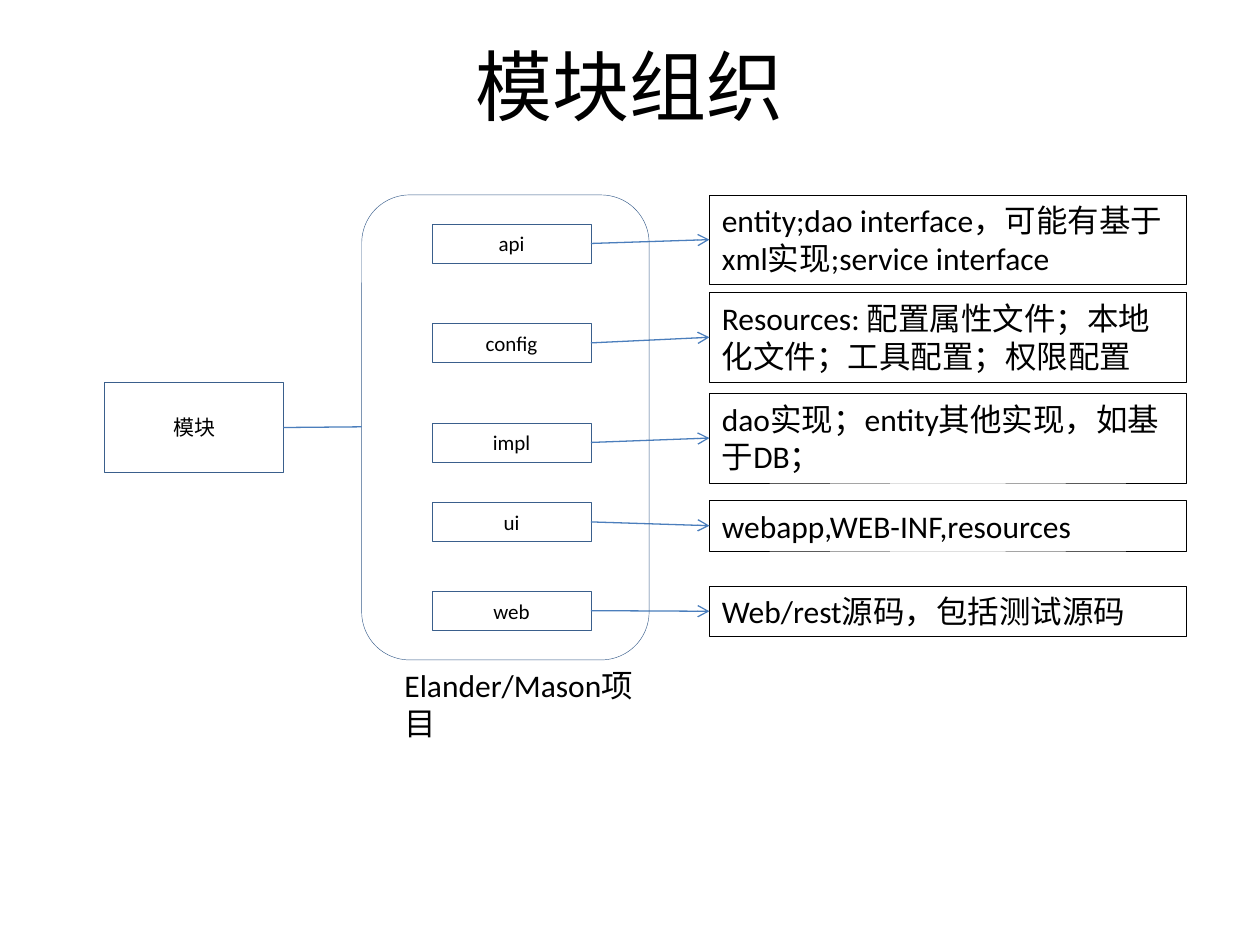
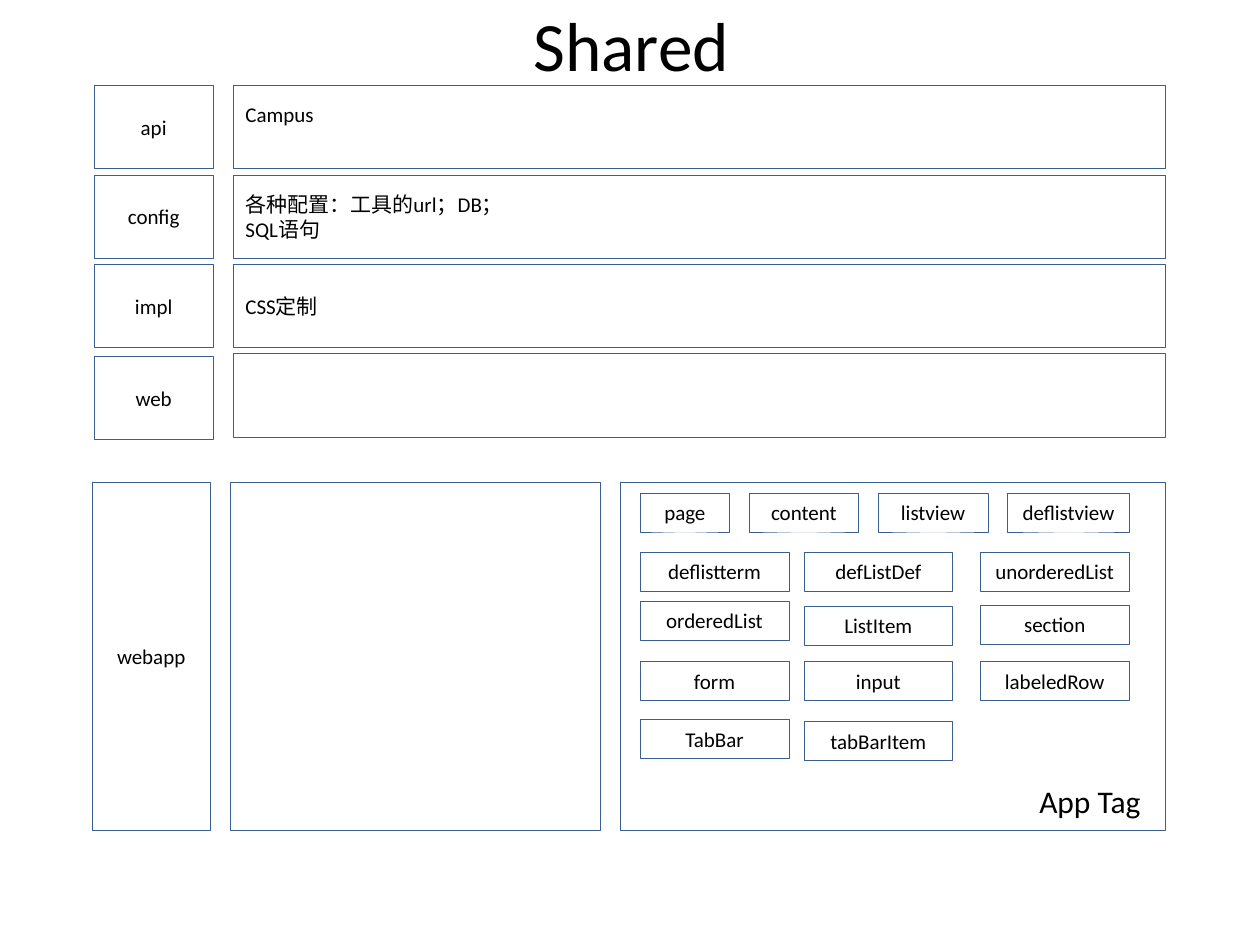
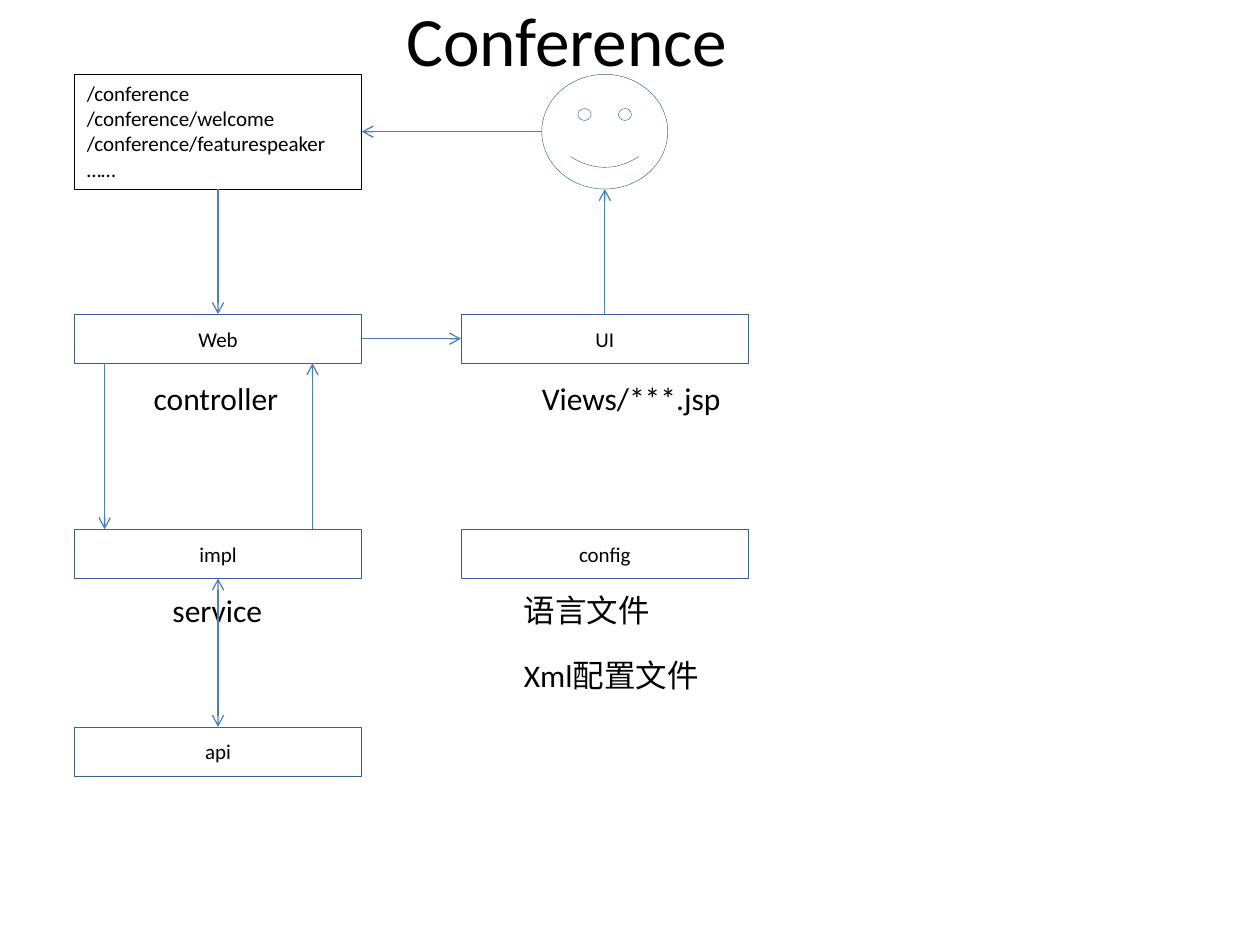
from lxml.etree import SubElement
from pptx import Presentation
from pptx.dml.color import RGBColor
from pptx.enum.shapes import MSO_CONNECTOR, MSO_SHAPE
from pptx.enum.text import MSO_ANCHOR, MSO_AUTO_SIZE, PP_ALIGN
from pptx.oxml.ns import qn
from pptx.util import Pt

FONT = "Calibri"
INK = "000000"
BORDER = "3A5F8C"
ARROW = "4B7EBC"
BODY, LARGE = 12, 18


def color(value):
    return RGBColor.from_string(value)


def write(frame, text, size, align=PP_ALIGN.LEFT, anchor=MSO_ANCHOR.TOP, **extra):
    settings = dict(word_wrap=True, auto_size=MSO_AUTO_SIZE.NONE, vertical_anchor=anchor, **extra)
    for key, value in settings.items():
        setattr(frame, key, value)
    frame.text = text
    for paragraph in frame.paragraphs:
        paragraph.alignment = align
        for run in paragraph.runs:
            for key, value in dict(name=FONT, size=Pt(size)).items():
                setattr(run.font, key, value)
            run.font.color.rgb = color(INK)


def outline(shape, line):
    shape.fill.background()
    shape.line.color.rgb = color(line)
    shape.line.width = Pt(0.25)


def frame_box(slide, box, text="", align=PP_ALIGN.CENTER, kind=MSO_SHAPE.RECTANGLE, **extra):
    shape = slide.shapes.add_shape(kind, *map(Pt, box))
    shape.shadow.inherit = False
    outline(shape, BORDER)
    if text:
        write(shape.text_frame, text, BODY, align, MSO_ANCHOR.MIDDLE, **extra)


def caption(slide, box, text, size=LARGE, line=None):
    label = slide.shapes.add_textbox(*map(Pt, box))
    if line:
        outline(label, line)
    write(label.text_frame, text, size)


def link(slide, start, end, heads=("tailEnd",)):
    connector = slide.shapes.add_connector(MSO_CONNECTOR.STRAIGHT, *map(Pt, start + end))
    connector.line.color.rgb = color(ARROW)
    connector.line.width = Pt(0.75)
    properties = connector.element.spPr
    for head in heads:
        SubElement(properties.find(qn("a:ln")), qn("a:" + head), type="arrow")
    SubElement(properties, qn("a:effectLst"))


def titled_slide(deck, title, box, size):
    slide = deck.slides.add_slide(deck.slide_layouts[5])
    heading = slide.shapes.title
    for key, value in zip(("left", "top", "width", "height"), box):
        setattr(heading, key, Pt(value))
    write(heading.text_frame, title, size, PP_ALIGN.CENTER, MSO_ANCHOR.MIDDLE)
    return slide


def module_tree(slide, box):
    left, top, width, height = box
    project_left, project_width = left + 146.9, 164.2
    part_left, part_width, part_height = left + 187.2, 90.7, 22.3
    note_left = left + 345.6
    note_width = left + width - note_left
    parts = [
        ("api", 16.6, "entity;dao interface，可能有基于xml实现;service interface", 0, 51.1),
        ("config", 73.4, "Resources: 配置属性文件；本地化文件；工具配置；权限配置", 55.8, 51.1),
        ("impl", 130.3, "dao实现；entity其他实现，如基于DB；", 113.4, 51.1),
        ("ui", 175.7, "webapp,WEB-INF,resources", 174.6, 28.8),
        ("web", 226.4, "Web/rest源码，包括测试源码", 223.5, 28.8),
    ]
    frame_box(slide, (left, top + 107.3, 102.2, 51.1), "模块")
    for name, part_top, note, note_top, note_height in parts:
        frame_box(slide, (part_left, top + part_top, part_width, part_height), name)
        caption(slide, (note_left, top + note_top, note_width, note_height), note, line=INK)
        link(slide, (part_left + part_width, top + part_top + part_height / 2),
             (note_left, top + note_top + note_height / 2))
    frame_box(slide, (project_left, top, project_width, height), kind=MSO_SHAPE.ROUNDED_RECTANGLE)
    link(slide, (left + 102.2, top + 132.9), (project_left, top + 132.5), ())
    caption(slide, (left + 164.2, top + height, 159.1, 28.8), "Elander/Mason项目")


def layer_rows(slide, box):
    left, top, width, row_height = box
    detail_left = left + 79.2
    rows = [
        ("api", "Campus", 0, 18.2),
        ("config", "各种配置：工具的url；DB；\nSQL语句", 0, 3.6),
        ("impl", "CSS定制", 0, 3.6),
        ("web", "", 1.5, 3.6),
    ]
    for index, (name, detail, drop, bottom) in enumerate(rows):
        row_top = top + index * 51.1
        frame_box(slide, (left, row_top + drop, 67.7, row_height), name)
        frame_box(slide, (detail_left, row_top, left + width - detail_left, row_height),
                  detail, PP_ALIGN.LEFT, margin_bottom=Pt(bottom))


def tag_panel(slide, box):
    left, top, width, height = box
    frame_box(slide, box)
    tag_left = left + 11.6
    for name, tag_width in [("page", 51.1), ("content", 62.6), ("listview", 62.6), ("deflistview", 69.8)]:
        frame_box(slide, (tag_left, top + 5.8, tag_width, 22.3), name)
        tag_left += tag_width + 11.2
    columns = [
        (11.6, [("deflistterm", 39.6), ("orderedList", 67.6), ("form", 102.2), ("TabBar", 135.3)]),
        (105.2, [("defListDef", 39.6), ("ListItem", 70.5), ("input", 102.2), ("tabBarItem", 136.4)]),
        (206, [("unorderedList", 39.6), ("section", 69.8), ("labeledRow", 102.2)]),
    ]
    for column_left, tags in columns:
        for name, tag_top in tags:
            frame_box(slide, (left + column_left, top + tag_top, 85, 22.3), name)
    caption(slide, (left + width - 79.2, top + height - 31, 77, 28.8), "App Tag")


def webapp_row(slide, box):
    left, top, width, height = box
    tags_left = left + 301.6
    frame_box(slide, (left, top, 67.7, height), "webapp")
    frame_box(slide, (left + 79.2, top, 211, height))
    tag_panel(slide, (tags_left, top, left + width - tags_left, height))


def request_flow(slide, box):
    left, top, width, height = box
    node_width, node_height = 164.2, 28.1
    right = left + width - node_width
    web, impl, api = top + 137, top + 260, top + height - node_height
    first_height = 65.5
    middle, user = left + node_width / 2, right + node_width / 2
    user_left = user - 36
    addresses = "/conference\n/conference/welcome\n/conference/featurespeaker\n……"
    caption(slide, (left, top, node_width, first_height), addresses, BODY, INK)
    frame_box(slide, (user_left, top, 72, first_height), kind=MSO_SHAPE.SMILEY_FACE)
    for name, node_left, node_top in [("Web", left, web), ("UI", right, web), ("impl", left, impl),
                                      ("config", right, impl), ("api", left, api)]:
        frame_box(slide, (node_left, node_top, node_width, node_height), name)
    for text, text_left, text_top, text_width in [
        ("controller", 38.2, 170.7, 87),
        ("service", 49, 291.6, 67),
        ("Views/***.jsp", 260, 170.7, 119),
        ("语言文件", 249.8, 291.6, 87.1),
        ("Xml配置文件", 249.8, 329, 115.2),
    ]:
        caption(slide, (left + text_left, top + text_top, text_width, 28.8), text)
    web_bottom, web_middle = web + node_height, web + node_height / 2
    address_middle = top + first_height / 2
    for start, end in [
        ((middle, top + first_height), (middle, web)),
        ((left + node_width, web_middle), (right, web_middle)),
        ((user_left, address_middle), (left + node_width, address_middle)),
        ((user, web), (user, top + first_height)),
        ((left + 17.3, web_bottom), (left + 17.3, impl)),
        ((left + 136.1, impl), (left + 136.1, web_bottom)),
    ]:
        link(slide, start, end)
    link(slide, (middle, impl + node_height), (middle, api), ("headEnd", "tailEnd"))


deck = Presentation()
deck.slide_width, deck.slide_height = Pt(720), Pt(540)

modules = titled_slide(deck, "模块组织", (36, 3.6, 648, 90), 44)
module_tree(modules, (59.8, 111.4, 617.8, 265.7))

shared = titled_slide(deck, "Shared", (36.7, 1.4, 648, 47.5), 39.6)
layer_rows(shared, (54, 48.8, 612, 47.5))
webapp_row(shared, (52.6, 275.8, 613.4, 198.4))

conference = titled_slide(deck, "Conference", (0, 1.4, 648, 41.8), 39.6)
request_flow(conference, (42.5, 42.5, 385.2, 401))

deck.save("out.pptx")
